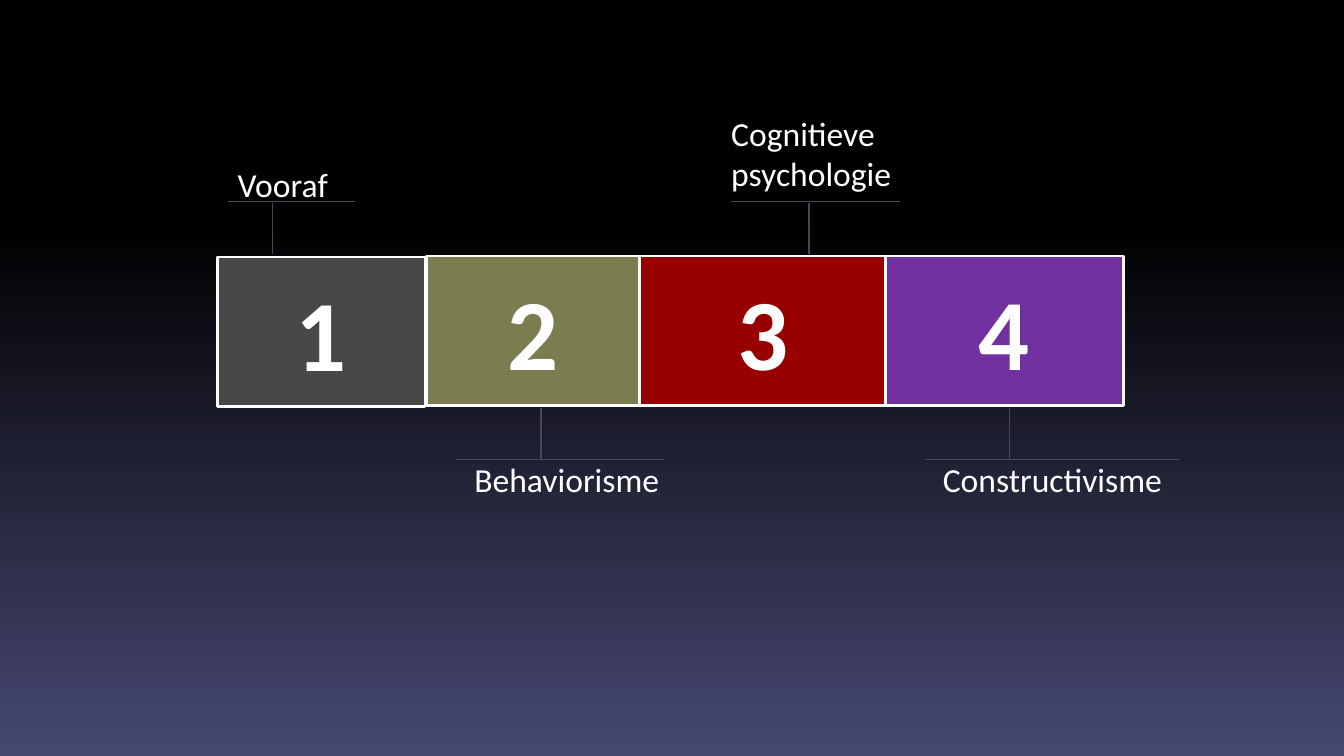
import pptx
import pptx.dml.color
import pptx.enum.shapes
import pptx.enum.text
import pptx.oxml
import pptx.oxml.ns
import pptx.util

Inches = pptx.util.Inches
Pt = pptx.util.Pt

COLORS = {
    "white": "FFFFFF",
    "black": "000000",
    "night": "474872",
    "rule": "474859",
    "gray": "484848",
    "olive": "7C7C51",
    "red": "980000",
    "purple": "7030A0",
}
FONT = "Calibri"
BLOCK_HEIGHT = 1.48
ABOVE = {"rule": 2.0, "stem": (2.01, 2.52)}
BELOW = {"rule": 4.56, "stem": (4.05, 4.56)}

BLOCKS = [
    ("1", "gray", 2.16, 2.55, 2.06),
    ("2", "olive", 4.23, 2.54, 2.13),
    ("3", "red", 6.35, 2.54, 2.44),
    ("4", "purple", 8.79, 2.54, 2.36),
]
LABELS = [
    ("Vooraf", (2.26, 1.58, 3.16, 0.5), ABOVE, 2.7, (2.26, 3.52)),
    ("Behaviorisme", (4.61, 4.5, 3.79, 0.5), BELOW, 5.37, (4.53, 6.59)),
    ("Cognitieve psychologie", (7.16, 1.07, 2.57, 0.91), ABOVE, 8.03, (7.26, 8.93)),
    ("Constructivisme", (9.26, 4.5, 3.79, 0.5), BELOW, 10.02, (9.18, 11.71)),
]


def color(name):
    return pptx.dml.color.RGBColor.from_string(COLORS[name])


def set_background(slide):
    fill = slide.background.fill
    fill.gradient()
    fill.gradient_angle = 270
    stops = [(0.29, "black"), (1, "night")]
    for stop, (position, name) in zip(fill.gradient_stops, stops):
        stop.position = position
        stop.color.rgb = color(name)


def add_run(paragraph, text, size, bold=False):
    run = paragraph.add_run()
    run.text = text
    run.font.name = FONT
    run.font.size = Pt(size)
    run.font.bold = bold
    run.font.color.rgb = color("white")


def add_block(slide, number, fill, left, top, width):
    shape = slide.shapes.add_shape(
        pptx.enum.shapes.MSO_SHAPE.RECTANGLE,
        Inches(left), Inches(top), Inches(width), Inches(BLOCK_HEIGHT),
    )
    shape.shadow.inherit = False
    shape.fill.solid()
    shape.fill.fore_color.rgb = color(fill)
    shape.line.color.rgb = color("white")
    shape.line.width = Pt(2)
    shape.text_frame.vertical_anchor = pptx.enum.text.MSO_ANCHOR.MIDDLE
    paragraph = shape.text_frame.paragraphs[0]
    paragraph.alignment = pptx.enum.text.PP_ALIGN.CENTER
    add_run(paragraph, number, 72, bold=True)


def add_line(slide, start_x, start_y, end_x, end_y):
    connector = slide.shapes.add_connector(
        pptx.enum.shapes.MSO_CONNECTOR.STRAIGHT,
        Inches(start_x), Inches(start_y), Inches(end_x), Inches(end_y),
    )
    connector.line.color.rgb = color("rule")
    connector.line.width = Pt(0.75)
    effects = pptx.oxml.parse_xml(f"<a:effectLst {pptx.oxml.ns.nsdecls('a')}/>")
    connector._element.spPr.append(effects)


def add_label(slide, text, box, side, stem_x, rule_span):
    stem_top, stem_bottom = side["stem"]
    rule_left, rule_right = rule_span
    add_line(slide, stem_x, stem_top, stem_x, stem_bottom)
    add_line(slide, rule_left, side["rule"], rule_right, side["rule"])
    textbox = slide.shapes.add_textbox(*map(Inches, box))
    textbox.text_frame.word_wrap = True
    add_run(textbox.text_frame.paragraphs[0], text, 24)


def main():
    presentation = pptx.Presentation()
    presentation.slide_width = Inches(13.34)
    presentation.slide_height = Inches(7.5)
    slide = presentation.slides.add_slide(presentation.slide_layouts[6])
    set_background(slide)
    for block in BLOCKS:
        add_block(slide, *block)
    for label in LABELS:
        add_label(slide, *label)
    presentation.save("out.pptx")


if __name__ == "__main__":
    main()
